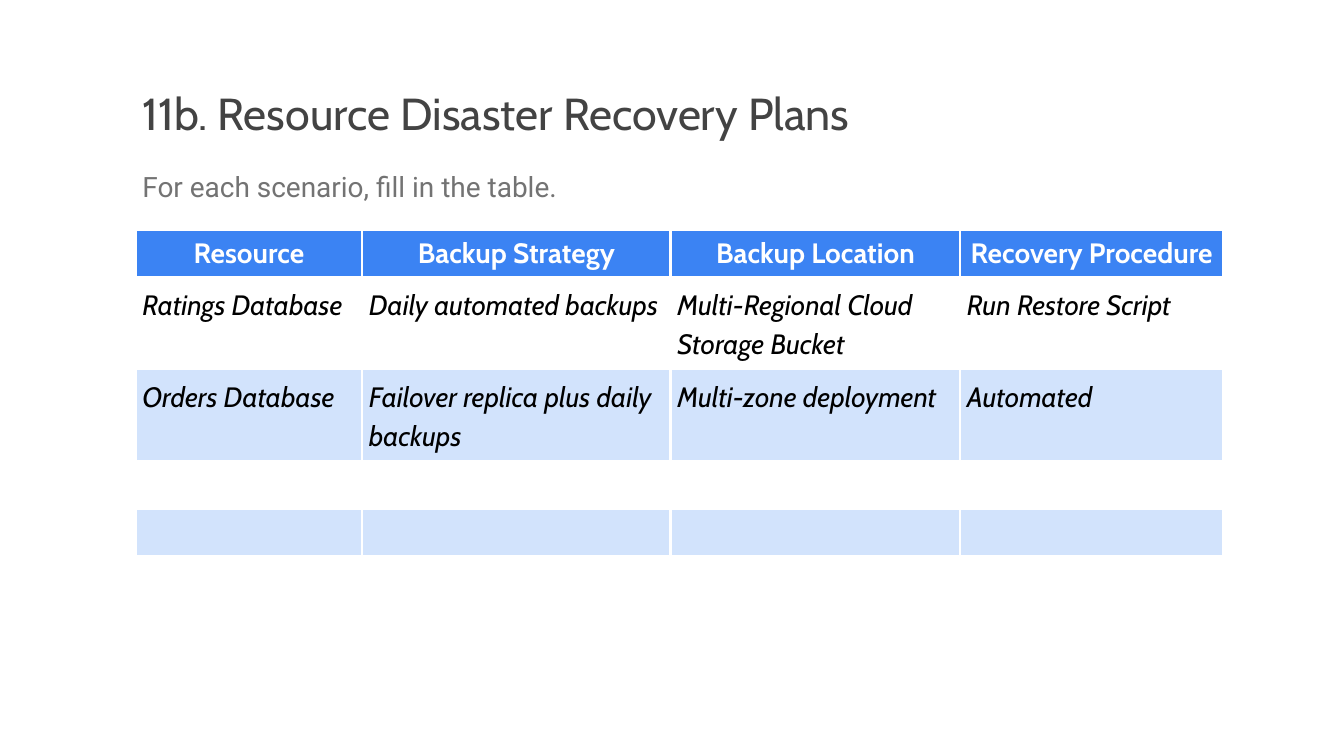
from dataclasses import dataclass

from lxml import etree
from pptx import Presentation
from pptx.dml.color import RGBColor
from pptx.enum.text import MSO_ANCHOR, PP_ALIGN
from pptx.oxml.ns import qn
from pptx.util import Inches, Pt

CENTER, LEFT = PP_ALIGN.CENTER, PP_ALIGN.LEFT
TOP = MSO_ANCHOR.TOP
SLIDE_WIDTH, SLIDE_HEIGHT = 20, 11.25
LEFT_EDGE = 2.02
INSET = Inches(0.1)

COLUMN_WIDTHS = (3.37, 4.59, 4.31, 3.91)
HEADER_HEIGHT, ONE_LINE, TWO_LINES, LAST_ROW = 0.7, 0.71, 1.37, 1.08
ROW_HEIGHTS = (HEADER_HEIGHT, TWO_LINES, TWO_LINES, ONE_LINE, ONE_LINE, LAST_ROW)
RECOVERY_PLANS = (
    ("Resource", "Backup Strategy", "Backup Location", "Recovery Procedure"),
    ("Ratings Database", "Daily automated backups",
     "Multi-Regional Cloud Storage Bucket", "Run Restore Script"),
    ("Orders Database", "Failover replica plus daily backups",
     "Multi-zone deployment", "Automated"),
    ("",) * 4,
    ("",) * 4,
    ("",) * 4,
)


@dataclass(frozen=True)
class Theme:
    heading_font: str = "Cabin"
    body_font: str = "Roboto"
    title_size: int = 48
    text_size: int = 30
    title: str = "434343"
    subtitle: str = "737373"
    ink: str = "000000"
    white: str = "FFFFFF"
    header: str = "3B83F3"
    band: str = "D2E3FC"
    border_width: int = 3


THEME = Theme()
TITLE = {"name": THEME.heading_font, "size": Pt(THEME.title_size)}
SUBTITLE = {"name": THEME.body_font, "size": Pt(THEME.text_size)}
HEADER = {"name": THEME.heading_font, "size": Pt(THEME.text_size), "bold": True}
ENTRY = HEADER | {"bold": False, "italic": True}
SPACED = {"line_spacing": 1.15}


def set_attributes(target, values):
    for name, value in values.items():
        setattr(target, name, value)


def write(frame, text, color, font, layout):
    para = frame.paragraphs[0]
    set_attributes(para, layout)
    span = para.add_run()
    span.text = text
    set_attributes(span.font, font)
    span.font.color.rgb = RGBColor.from_string(color)


def set_margins(target):
    set_attributes(target, {f"margin_{side}": INSET
                            for side in ("left", "right", "top", "bottom")})


def add_text(page, area, text, color, font, layout):
    box = page.shapes.add_textbox(*map(Inches, area))
    frame = box.text_frame
    set_margins(frame)
    set_attributes(frame, {"word_wrap": True, "vertical_anchor": TOP})
    write(frame, text, color, font, layout)


def add_borders(cell):
    """Outline a cell; must run before its fill, which follows in the XML."""
    properties = cell._tc.get_or_add_tcPr()
    for side in ("lnL", "lnR", "lnT", "lnB"):
        line = etree.SubElement(properties, qn(f"a:{side}"),
                                w=str(Pt(THEME.border_width)))
        fill = etree.SubElement(line, qn("a:solidFill"))
        etree.SubElement(fill, qn("a:srgbClr"), val=THEME.white)


def fill_cell(cell, color):
    if color:
        cell.fill.solid()
        cell.fill.fore_color.rgb = RGBColor.from_string(color)
    else:
        cell.fill.background()


def row_fill(row):
    if row == 0:
        return THEME.header
    return THEME.band if row % 2 == 0 else None


def add_plan_table(page, top):
    area = (LEFT_EDGE, top, sum(COLUMN_WIDTHS), sum(ROW_HEIGHTS))
    table = page.shapes.add_table(len(ROW_HEIGHTS), len(COLUMN_WIDTHS),
                                  *map(Inches, area)).table
    set_attributes(table, {"first_row": False, "horz_banding": False})
    for column, width in zip(table.columns, COLUMN_WIDTHS):
        column.width = Inches(width)
    for row, height in zip(table.rows, ROW_HEIGHTS):
        row.height = Inches(height)

    for row, texts in enumerate(RECOVERY_PLANS):
        for column, text in enumerate(texts):
            cell = table.cell(row, column)
            set_margins(cell)
            add_borders(cell)
            fill_cell(cell, row_fill(row))
            if row == 0:
                write(cell.text_frame, text, THEME.white, HEADER,
                      {"alignment": CENTER})
            elif text:
                write(cell.text_frame, text, THEME.ink, ENTRY,
                      SPACED | {"alignment": LEFT})


def main():
    deck = Presentation()
    deck.slide_width, deck.slide_height = Inches(SLIDE_WIDTH), Inches(SLIDE_HEIGHT)
    page = deck.slides.add_slide(deck.slide_layouts[6])
    add_text(page, (LEFT_EDGE, 1.18, 15.98, 1.18),
             "11b. Resource Disaster Recovery Plans", THEME.title, TITLE, {})
    add_text(page, (LEFT_EDGE, 2.35, 17.26, 0.9),
             "For each scenario, fill in the table.", THEME.subtitle, SUBTITLE,
             SPACED | {"space_after": Pt(16)})
    add_plan_table(page, 3.42)
    deck.save("out.pptx")


if __name__ == "__main__":
    main()
